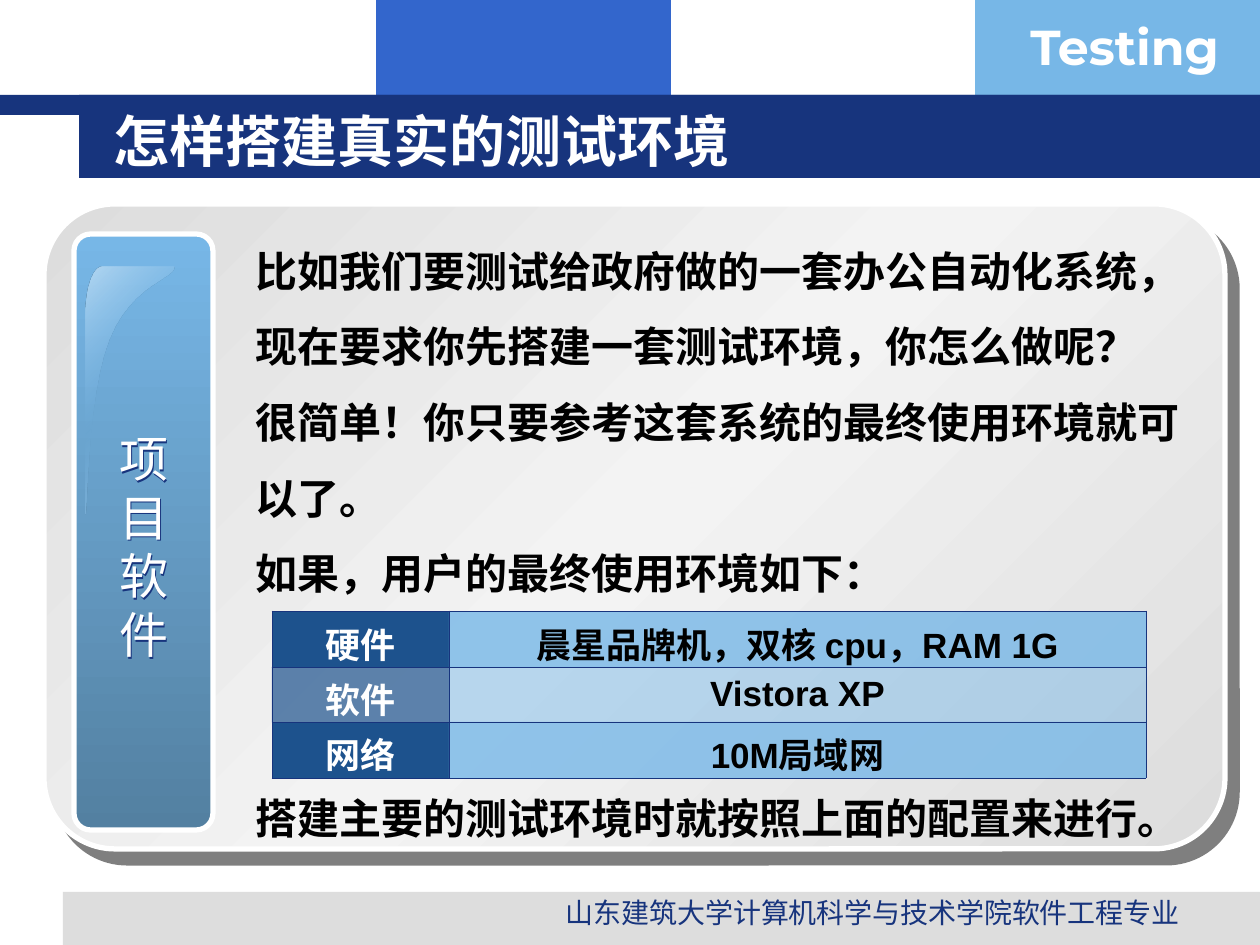
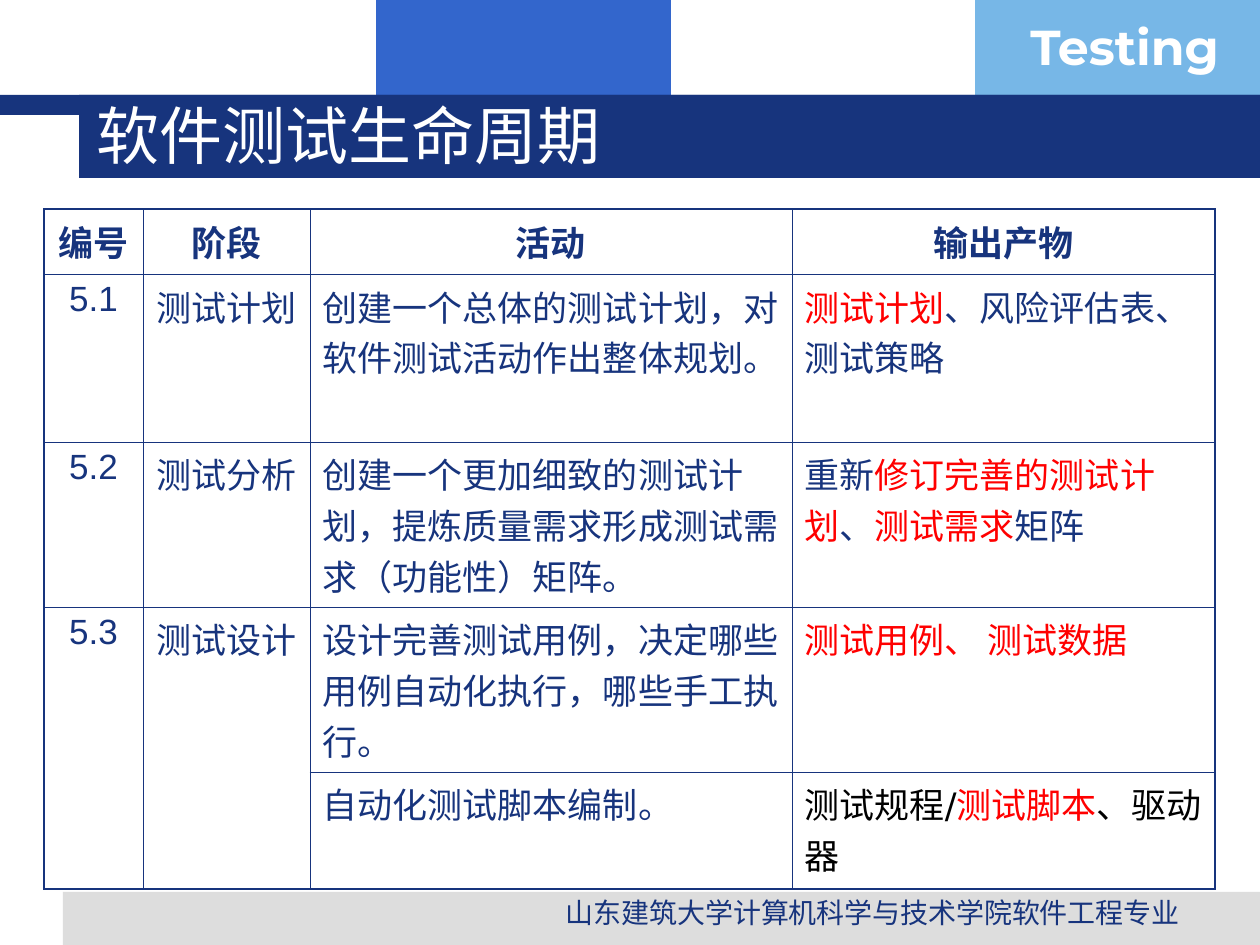
"""Build two slides on software testing."""
from pptx import Presentation
from pptx.dml.color import RGBColor
from pptx.enum.lang import MSO_LANGUAGE_ID
from pptx.enum.shapes import MSO_SHAPE
from pptx.enum.text import MSO_ANCHOR, PP_ALIGN
from pptx.oxml import parse_xml
from pptx.oxml.ns import nsdecls, qn
from pptx.util import Emu, Pt

SCALE = 914400 / 126
WIDE, HIGH = 1260, 945

HUES = {
    "navy": "17347D", "blue": "3366CC", "sky": "77B7E7", "steel": "5380A1",
    "deep": "1D528D", "pale": "B5D8F2", "grey": "DDDDDD", "light": "F3F3F3",
    "white": "FFFFFF", "black": "000000", "red": "FF0000",
}


def form(size, hue, name="Arial", bold=False, **para):
    """Return a text format: font values, colour and paragraph values."""
    font = {"size": Pt(size), "name": name, "bold": bold,
            "language_id": MSO_LANGUAGE_ID.SIMPLIFIED_CHINESE}
    return {"font": font, "hue": hue, "para": para}


MID = PP_ALIGN.CENTER
FORMS = {
    "brand": form(28, "white", "Montserrat", True),
    "foot": form(16, "navy", alignment=MID),
    "bold title": form(32, "white", "DejaVu Sans", True),
    "title": form(36, "white", "DejaVu Sans"),
    "bar": form(28, "white", alignment=MID),
    "body": form(24, "black", bold=True, line_spacing=1.5),
    "label": form(20, "white", bold=True, alignment=MID),
    "value": form(20, "black", bold=True, alignment=MID),
    "head": form(20, "navy", bold=True, alignment=MID),
    "stage": form(20, "navy", alignment=MID),
    "cell": form(20, "navy"),
    "late": form(20, "navy", "DejaVu Sans"),
}

BANDS = [
    (376, 0, 295, 116, "blue"), (975, 0, 285, 116, "sky"),
    (63, 892, 1197, 53, "grey"),
    (0, 95, 1260, 20, "navy"), (79, 95, 1181, 83, "navy"),
]

STORY = [
    "比如我们要测试给政府做的一套办公自动化系统，现在要求你先搭建一套测试环境，你怎么做呢？",
    "很简单！你只要参考这套系统的最终使用环境就可以了。",
    "如果，用户的最终使用环境如下：",
]
SETUP = [
    ("硬件", "晨星品牌机，双核 cpu，RAM 1G"),
    ("软件", "Vistora XP"),
    ("网络", "10M局域网"),
]
PHASES = [
    ("编号", "阶段", "活动", "输出产物"),
    ("5.1", "测试计划", "创建一个总体的测试计划，对软件测试活动作出整体规划。",
     [("测试计划", "red"), ("、风险评估表、测试策略", "navy")]),
    ("5.2", "测试分析",
     "创建一个更加细致的测试计划，提炼质量需求形成测试需求（功能性）矩阵。",
     [("重新", "navy"), ("修订完善的测试计划", "red"), ("、", "navy"),
      ("测试需求", "red"), ("矩阵", "navy")]),
    ("5.3", "测试设计",
     "设计完善测试用例，决定哪些用例自动化执行，哪些手工执行。",
     [("测试用例、 测试数据", "red")]),
    ("", "", "自动化测试脚本编制。",
     [("测试规程/", "black"), ("测试脚本", "red"), ("、驱动器", "black")]),
]


def px(size):
    """Turn pixels into EMU."""
    return Emu(round(size * SCALE))


def tint(hue):
    """Return a named colour."""
    return RGBColor.from_string(HUES[hue])


def write(frame, paras, style):
    """Fill a text frame; a paragraph is a string or (text, hue) runs."""
    style = FORMS[style]
    frame.word_wrap = True
    for i, runs in enumerate(paras):
        para = frame.paragraphs[0] if i == 0 else frame.add_paragraph()
        para._p.get_or_add_pPr().set("hangingPunct", "0")
        for key, value in style["para"].items():
            setattr(para, key, value)
        if isinstance(runs, str):
            runs = [(runs, style["hue"])]
        for text, hue in runs:
            run = para.add_run()
            run.text = text
            for key, value in style["font"].items():
                setattr(run.font, key, value)
            run.font.color.rgb = tint(hue)


def label(slide, box, paras, style, anchor=MSO_ANCHOR.TOP):
    """Add a text box."""
    shape = slide.shapes.add_textbox(*map(px, box))
    shape.text_frame.vertical_anchor = anchor
    write(shape.text_frame, paras, style)
    return shape


def block(slide, kind, box, hue, line=None):
    """Add a plain shape with an optional 3 pt outline."""
    shape = slide.shapes.add_shape(kind, *map(px, box))
    shape.shadow.inherit = False
    shape.fill.solid()
    shape.fill.fore_color.rgb = tint(hue)
    if line:
        shape.line.color.rgb = tint(line)
        shape.line.width = Pt(3)
    else:
        shape.line.fill.background()
    return shape


def shade(shape, angle, stops):
    """Give a shape a linear gradient of (place, hue, alpha) stops."""
    shape.fill.background()
    marks = "".join(
        f'<a:gs pos="{at * 1000}"><a:srgbClr val="{HUES[hue]}">'
        f'<a:alpha val="{alpha * 1000}"/></a:srgbClr></a:gs>'
        for at, hue, alpha in stops)
    props = shape._element.spPr
    props.replace(props.find(qn("a:noFill")), parse_xml(
        f'<a:gradFill {nsdecls("a")} rotWithShape="1"><a:gsLst>{marks}</a:gsLst>'
        f'<a:lin ang="{angle * 60000}" scaled="0"/></a:gradFill>'))


def drop(shape, hue, alpha, dist, angle):
    """Give a shape a hard drop shadow."""
    shape.shadow.inherit = False
    shape._element.spPr.find(qn("a:effectLst")).append(parse_xml(
        f'<a:outerShdw {nsdecls("a")} blurRad="0" dist="{Pt(dist)}" '
        f'dir="{angle * 60000}" algn="ctr" rotWithShape="0">'
        f'<a:srgbClr val="{HUES[hue]}"><a:alpha val="{alpha * 1000}"/>'
        '</a:srgbClr></a:outerShdw>'))


def curve(a, b, c, d, steps=12):
    """Return points along a cubic curve after its start."""
    def mix(t, k):
        """Blend one axis of the four points."""
        u = 1 - t
        return (u ** 3 * a[k] + 3 * u * u * t * b[k]
                + 3 * u * t * t * c[k] + t ** 3 * d[k])
    return [(mix(i / steps, 0), mix(i / steps, 1)) for i in range(1, steps + 1)]


def gloss(slide, x, y):
    """Draw the shine on the side bar."""
    points = [(17, 0), *curve((17, 0), (7, 0), (0, 23), (0, 49)), (0, 248),
              *curve((0, 248), (3, 253), (1, 131), (24, 73)),
              *curve((24, 73), (46, 17), (89, 13), (88, 0))]
    spots = [(px(x + a), px(y + b)) for a, b in points]
    pen = slide.shapes.build_freeform(*spots[0])
    pen.add_line_segments(spots[1:], close=True)
    shape = pen.convert_to_shape()
    shape.shadow.inherit = False
    shape.line.fill.background()
    shade(shape, 45, [(0, "pale", 100), (50, "sky", 0), (100, "pale", 100)])


def edge(cell, sides):
    """Set cell borders from widths for left, right, top and bottom."""
    props = cell._tc.get_or_add_tcPr()
    for side, width in zip("LRTB", sides):
        props.append(parse_xml(
            f'<a:ln{side} {nsdecls("a")} w="{Pt(width)}"><a:solidFill>'
            f'<a:srgbClr val="{HUES["navy"]}"/></a:solidFill></a:ln{side}>'))


def grid(slide, x, y, cols, rows, rim, joined=0):
    """Add a ruled table; the first joined columns merge their last two rows."""
    box = (x, y, sum(cols), sum(rows))
    table = slide.shapes.add_table(len(rows), len(cols), *map(px, box)).table
    table.first_row = table.horz_banding = False
    for col, size in zip(table.columns, cols):
        col.width = px(size)
    for row, size in zip(table.rows, rows):
        row.height = px(size)
    last = len(rows) - 1
    for r in range(len(rows)):
        for c in range(len(cols)):
            floor = r == last or (c < joined and r == last - 1)
            outer = (c == 0, c == len(cols) - 1, r == 0, floor)
            cell = table.cell(r, c)
            edge(cell, [rim if out else 0.45 for out in outer])
            cell.fill.background()
    for c in range(joined):
        table.cell(last - 1, c).merge(table.cell(last, c))
    return table


def setup(slide, x, y):
    """Add the table of the user's environment."""
    table = grid(slide, x, y, (177, 697), (56, 55, 56), 0.45)
    looks = [("label", "deep", (100, 70)), ("value", "sky", (80, 48))]
    for r, texts in enumerate(SETUP):
        for c, (style, hue, alphas) in enumerate(looks):
            cell = table.cell(r, c)
            cell.vertical_anchor = MSO_ANCHOR.MIDDLE
            cell.fill.solid()
            cell.fill.fore_color.rgb = tint(hue)
            color = cell._tc.tcPr.find(qn("a:solidFill"))[0]
            color.append(parse_xml(
                f'<a:alpha {nsdecls("a")} val="{alphas[r % 2] * 1000}"/>'))
            write(cell.text_frame, [texts[c]], style)


def panel(slide, x, y, w, h):
    """Draw the rounded panel with its side bar, text and table."""
    card = block(slide, MSO_SHAPE.ROUNDED_RECTANGLE, (x, y, w, h), "grey", "white")
    card.adjustments[0] = 0.11
    shade(card, 45, [(0, "grey", 100), (50, "light", 100), (100, "grey", 100)])
    drop(card, "black", 50, 10.6, 49)
    bar = block(slide, MSO_SHAPE.ROUNDED_RECTANGLE,
                (x + 30, y + 30, 139, h - 49), "sky", "white")
    bar.adjustments[0] = 0.12
    shade(bar, 90, [(0, "sky", 100), (100, "steel", 100)])
    gloss(slide, x + 42, y + 63)
    name = label(slide, (x + 60, y + 218, 79, 248), "项目软件", "bar")
    drop(name, "navy", 100, 1.5, 45)
    label(slide, (x + 199, y + 10, 973, 391), STORY, "body")
    setup(slide, x + 228, y + 407)
    label(slide, (x + 199, y + 557, 973, 88),
          ["搭建主要的测试环境时就按照上面的配置来进行。"], "body")


def phases(slide, x, y):
    """Add the table of test phases."""
    table = grid(slide, x, y, (99, 167, 482, 423),
                 (65, 168, 165, 165, 117), 1.08, joined=2)
    for r, row in enumerate(PHASES):
        for c, text in enumerate(row):
            if not text:
                continue
            style = ("head" if r == 0 else "stage" if c < 2
                     else "late" if r > 2 and c == 3 else "cell")
            write(table.cell(r, c).text_frame, [text], style)


def base(deck, title, box, style):
    """Add a slide with the shared bands, footer and title."""
    slide = deck.slides.add_slide(deck.slide_layouts[6])
    for *area, hue in BANDS:
        block(slide, MSO_SHAPE.RECTANGLE, area, hue)
    label(slide, (1018, 10, 242, 72), ["Testing"], "brand")
    label(slide, (511, 889, 724, 39),
          ["山东建筑大学计算机科学与技术学院软件工程专业"], "foot")
    label(slide, box, [title], style, MSO_ANCHOR.MIDDLE)
    return slide


def main():
    """Build and save the deck."""
    deck = Presentation()
    deck.slide_width, deck.slide_height = px(WIDE), px(HIGH)
    first = base(deck, "怎样搭建真实的测试环境", (101, 101, 1075, 78), "bold title")
    panel(first, 44, 204, 1181, 645)
    second = base(deck, "软件测试生命周期", (84, 96, 945, 76), "title")
    phases(second, 44, 209)
    deck.save("out.pptx")


if __name__ == "__main__":
    main()
